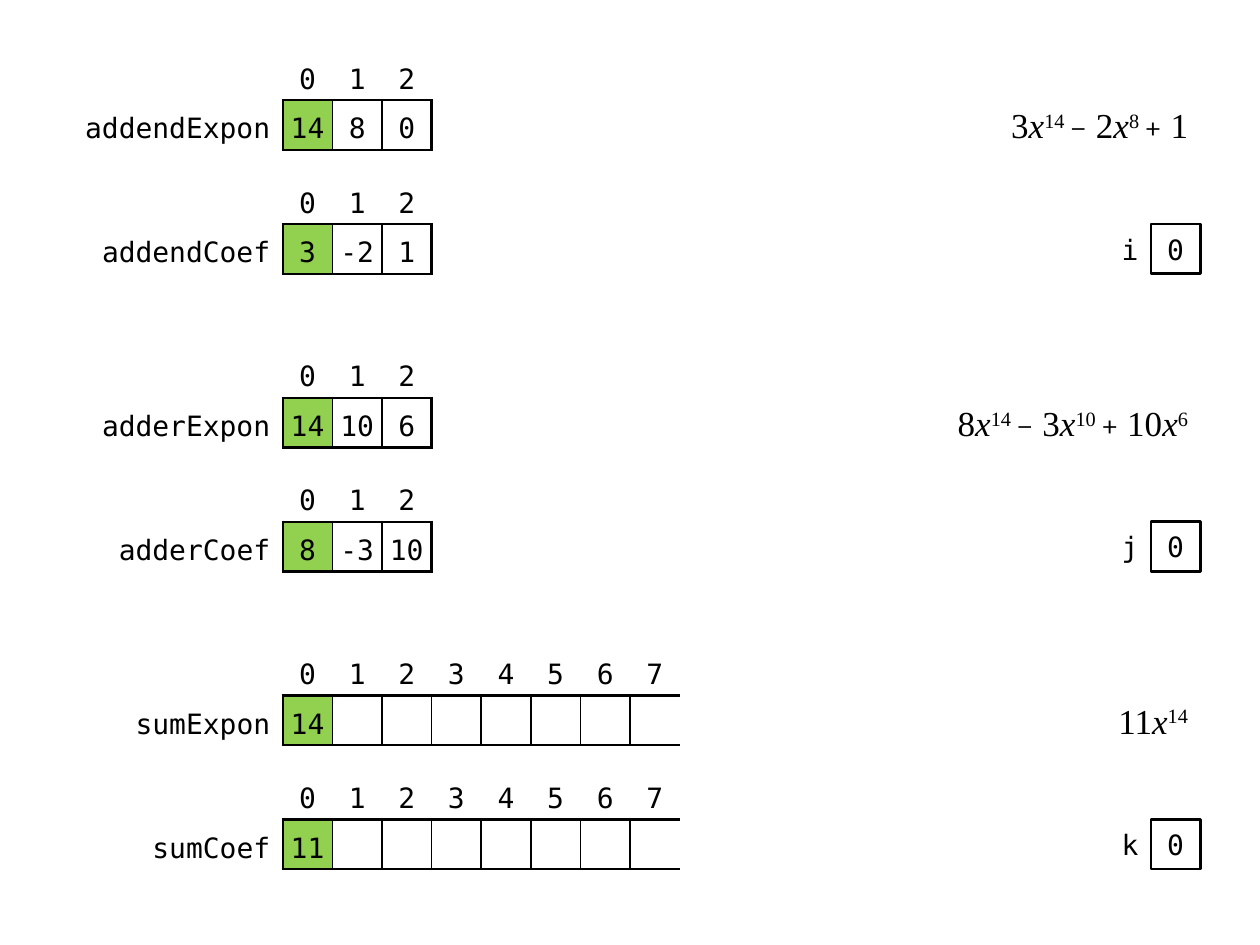
from lxml import etree
from pptx import Presentation
from pptx import util as u
from pptx.dml.color import RGBColor
from pptx.enum import shapes, text
from pptx.oxml.ns import qn

MONO, SERIF, MATH = "DejaVu Sans Mono", "Times New Roman", "Cambria"
BLACK, WHITE, GREEN = "000000", "FFFFFF", "92D050"
CELL = 1         # side of a square cell, cm
ARRAY_X = 5.7    # left edge of the first array cell
RIGHT = 24.2     # right edge of the formulas and counters
THICK, THIN = 1.5, 1

# Each polynomial: names, exponents, coefficients, label width, length,
# whether the array runs on, formula terms (sign, coefficient, exponent),
# formula width, counter name
POLYNOMIALS = [
    ("addend", ["14", "8", "0"], ["3", "-2", "1"], 4.5, 3, False,
     [("", "3", "14"), ("−", "2", "8"), ("+", "1", "")], 5, "i"),
    ("adder", ["14", "10", "6"], ["8", "-3", "10"], 4, 3, False,
     [("", "8", "14"), ("−", "3", "10"), ("+", "10", "6")], 6, "j"),
    ("sum", ["14"], ["11"], 3.5, 8, True, [("", "11", "14")], 9, "k"),
]


def rgb(color):
    return RGBColor.from_string(color)


def add_run(p, content, font=MONO, size=16, italic=False, raised=False):
    r = p.add_run()
    r.text = content
    r.font.name, r.font.size = font, u.Pt(size)
    r.font.italic = italic
    r.font.color.rgb = rgb(BLACK)
    if raised:
        r._r.get_or_add_rPr().set("baseline", "30000")


def add_label(slide, x, y, w):
    """Right-aligned text box; returns its paragraph."""
    sp = slide.shapes.add_textbox(u.Cm(x), u.Cm(y), u.Cm(w), u.Cm(CELL))
    tf = sp.text_frame
    tf.word_wrap = True
    tf.margin_top = tf.margin_bottom = 0
    tf.vertical_anchor = text.MSO_ANCHOR.MIDDLE
    p = tf.paragraphs[0]
    p.alignment = text.PP_ALIGN.RIGHT
    return p


def set_borders(cell, **widths):
    """Draw the sides given in points and clear the others."""
    tcPr = cell._tc.get_or_add_tcPr()
    for side in "LRTB":
        ln = etree.SubElement(tcPr, qn(f"a:ln{side}"))
        if side in widths:
            ln.set("w", str(u.Pt(widths[side])))
            fill = etree.SubElement(ln, qn("a:solidFill"))
            etree.SubElement(fill, qn("a:srgbClr"), val=BLACK)
        else:
            etree.SubElement(ln, qn("a:noFill"))


def format_cell(cell, content="", align=text.PP_ALIGN.CENTER, left=0, right=0,
                fill=None, **borders):
    cell.margin_left, cell.margin_right = u.Inches(left), u.Inches(right)
    cell.margin_top = cell.margin_bottom = 0
    cell.vertical_anchor = text.MSO_ANCHOR.MIDDLE
    set_borders(cell, **borders)
    if fill:
        cell.fill.solid()
        cell.fill.fore_color.rgb = rgb(fill)
    else:
        cell.fill.background()
    p = cell.text_frame.paragraphs[0]
    p.alignment, p.line_spacing = align, 1.25
    if content:
        add_run(p, content)


def add_array(slide, y, name, values, label_w, length, runs_on):
    """Named array with its indices above; the first element is marked."""
    frame = slide.shapes.add_table(
        2, length + 1, u.Cm(ARRAY_X - label_w), u.Cm(y),
        u.Cm(label_w + length * CELL), u.Cm(2 * CELL))
    table = frame.table
    table.first_row = table.horz_banding = False
    for row in table.rows:
        row.height = u.Cm(CELL)
    for i, col in enumerate(table.columns):
        col.width = u.Cm(CELL if i else label_w)

    # Name
    format_cell(table.cell(0, 0))
    format_cell(table.cell(1, 0), name, text.PP_ALIGN.RIGHT, 0.04, 0.1, R=THICK)

    # Indices and elements
    for i in range(length):
        format_cell(table.cell(0, i + 1), str(i), B=THICK)
        borders = dict(L=THIN if i else THICK, R=THIN, T=THICK, B=THICK)
        if i == length - 1:
            borders["R"] = THICK
            if runs_on:
                del borders["R"]
        format_cell(table.cell(1, i + 1), values[i] if i < len(values) else "",
                    fill=None if i else GREEN, **borders)


def add_formula(slide, y, w, terms):
    p = add_label(slide, RIGHT - w, y, w)
    for i, (sign, coef, expon) in enumerate(terms):
        if sign:
            add_run(p, sign, MATH, 18)
            coef = " " + coef
        add_run(p, coef, SERIF, 20)
        if expon:
            add_run(p, "x", SERIF, 20, italic=True)
            gap = " " if i < len(terms) - 1 else ""
            add_run(p, expon + gap, SERIF, 20, raised=True)


def add_counter(slide, y, name, value):
    x = RIGHT - CELL
    sp = slide.shapes.add_shape(shapes.MSO_SHAPE.RECTANGLE, u.Cm(x), u.Cm(y),
                                u.Cm(CELL), u.Cm(CELL))
    sp.shadow.inherit = False
    sp.fill.solid()
    sp.fill.fore_color.rgb = rgb(WHITE)
    sp.line.color.rgb = rgb(BLACK)
    sp.line.width = u.Pt(THICK)
    tf = sp.text_frame
    tf.vertical_anchor = text.MSO_ANCHOR.MIDDLE
    p = tf.paragraphs[0]
    p.alignment = text.PP_ALIGN.CENTER
    add_run(p, value)
    add_run(add_label(slide, x - CELL, y, CELL), name)


def add_polynomial(slide, y, name, expons, coefs, label_w, length, runs_on,
                   terms, formula_w, counter):
    add_array(slide, y, name + "Expon", expons, label_w, length, runs_on)
    add_array(slide, y + 2.5, name + "Coef", coefs, label_w - 0.5, length, runs_on)
    add_formula(slide, y + 1, formula_w, terms)
    add_counter(slide, y + 3.5, counter, "0")


def main():
    prs = Presentation()
    prs.slide_width, prs.slide_height = u.Cm(25.4), u.Cm(19.05)
    slide = prs.slides.add_slide(prs.slide_layouts[6])
    for i, polynomial in enumerate(POLYNOMIALS):
        add_polynomial(slide, 1.02 + 6 * i, *polynomial)
    prs.save("out.pptx")


if __name__ == "__main__":
    main()
